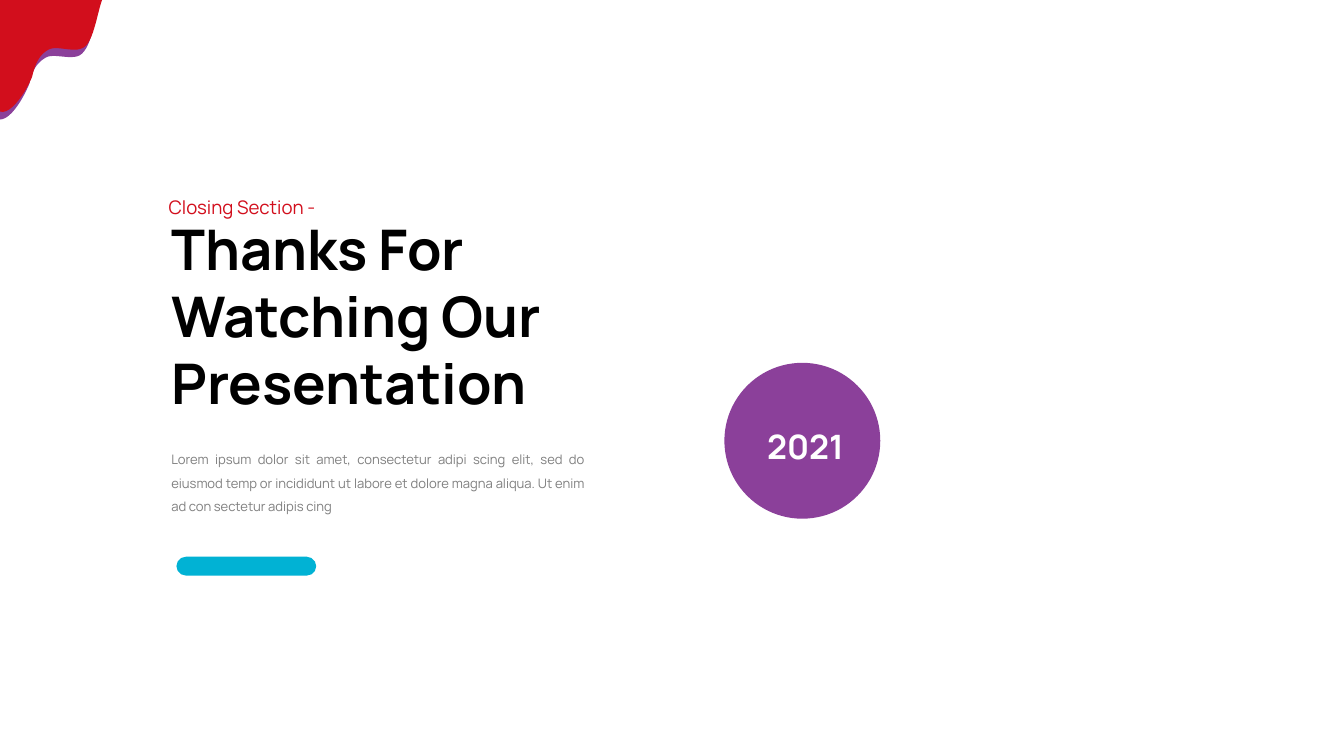
"""Build a closing slide with a thank-you title, a year badge and a corner splash."""
from dataclasses import dataclass

from pptx import Presentation
from pptx import util as u
from pptx.dml.color import RGBColor
from pptx.enum import shapes, text


@dataclass(frozen=True)
class Theme:
    font: str = "Manrope"
    red: str = "D20E1C"
    plum: str = "8B409A"
    cyan: str = "01B2D4"
    ink: str = "000000"
    gray: str = "7F7F7F"
    white: str = "FFFFFF"
    head: int = 30
    year: int = 18
    tag: int = 10
    body: int = 7


T = Theme()
WIDE = u.Inches(10)
HIGH = u.Emu(WIDE * 9 // 16)
COLS = 100
CELL = WIDE / COLS
STEPS = 12
LEFT, CENTER, JUST = text.PP_ALIGN.LEFT, text.PP_ALIGN.CENTER, text.PP_ALIGN.JUSTIFY

HEAD = dict(words="Thanks For Watching Our Presentation", at=(11.75, 15.45, 33.1, 16),
            size=T.head, color=T.ink, bold=True, align=LEFT, pad=(1, 0.5), lead=1)
NOTES = [
    dict(words="Closing Section -", at=(11.75, 13.35, 17.9, 3.3),
         size=T.tag, color=T.red, bold=False, align=JUST, pad=(0.8, 0.4), lead=1.5),
    dict(words="Lorem ipsum dolor sit amet, consectetur adipi scing elit, sed do "
               "eiusmod temp or incididunt ut labore et dolore magna aliqua. "
               "Ut enim ad con sectetur adipis cing", at=(11.77, 32.53, 32.7, 6.3),
         size=T.body, color=T.gray, bold=False, align=JUST, pad=(1, 0.5), lead=1.5),
    dict(words="2021", at=(56.03, 29.7, 7.8, 5.5),
         size=T.year, color=T.white, bold=True, align=CENTER, pad=(1, 0.5), lead=1.5),
]
FORMS = [
    (shapes.MSO_SHAPE.OVAL, (53.9, 27, 11.6, 11.6), T.plum),
    (shapes.MSO_SHAPE.ROUNDED_RECTANGLE, (13.13, 41.43, 10.4, 1.4), T.cyan),
]
SPLASH = [
    (T.plum, (0, 0.6), (7.3, 0.6), [
        ((7.1, 1.4), (6.8, 3.4), (6.1, 4)),
        ((5.5, 4.6), (4, 3.9), (3.4, 4.3)),
        ((2.7, 4.7), (2.4, 5.3), (2.2, 6.2)),
        ((1.9, 7), (0.9, 8.9), (0, 8.9))]),
    (T.red, (0, 0), (7.6, 0), [
        ((7.3, 0.8), (7, 2.8), (6.4, 3.4)),
        ((5.7, 4.1), (4.3, 3.3), (3.6, 3.7)),
        ((2.9, 4.1), (2.6, 4.8), (2.4, 5.7)),
        ((2.1, 6.5), (0.9, 8.6), (0, 8.3))]),
]


def grid(*nums):
    return [u.Emu(round(n * CELL)) for n in nums]


def paint(shape, color):
    shape.shadow.inherit = False
    shape.fill.solid()
    shape.fill.fore_color.rgb = RGBColor.from_string(color)
    shape.line.fill.background()


def curve(start, bends):
    for a, b, end in bends:
        for i in range(1, STEPS + 1):
            t = i / STEPS
            s = 1 - t
            yield grid(*(s**3 * p + 3 * s * s * t * q + 3 * s * t * t * r + t**3 * e
                         for p, q, r, e in zip(start, a, b, end)))
        start = end


def splash(slide, color, corner, start, bends):
    pen = slide.shapes.build_freeform(*grid(*corner))
    pen.add_line_segments([grid(*start), *curve(start, bends)], close=True)
    paint(pen.convert_to_shape(), color)


def write(box, words, at, size, color, bold, align, pad, lead):
    box.left, box.top, box.width, box.height = grid(*at)
    frame = box.text_frame
    frame.word_wrap = True
    frame.auto_size = text.MSO_AUTO_SIZE.SHAPE_TO_FIT_TEXT
    frame.vertical_anchor = text.MSO_ANCHOR.TOP
    frame.margin_left = frame.margin_right = grid(pad[0])[0]
    frame.margin_top = frame.margin_bottom = grid(pad[1])[0]
    para = frame.paragraphs[0]
    para.alignment, para.line_spacing = align, float(lead)
    run = para.add_run()
    run.text = words
    font = run.font
    font.name, font.size, font.bold = T.font, u.Pt(size), bold
    font.color.rgb = RGBColor.from_string(color)


def main():
    deck = Presentation()
    deck.slide_width, deck.slide_height = WIDE, HIGH
    slide = deck.slides.add_slide(deck.slide_layouts.get_by_name("Title Only"))
    for kind, at, color in FORMS:
        form = slide.shapes.add_shape(kind, *grid(*at))
        paint(form, color)
        if kind == shapes.MSO_SHAPE.ROUNDED_RECTANGLE:
            form.adjustments[0] = 0.5
    for part in SPLASH:
        splash(slide, *part)
    write(slide.shapes.title, **HEAD)
    for note in NOTES:
        write(slide.shapes.add_textbox(*grid(*note["at"])), **note)
    deck.save("out.pptx")


if __name__ == "__main__":
    main()
